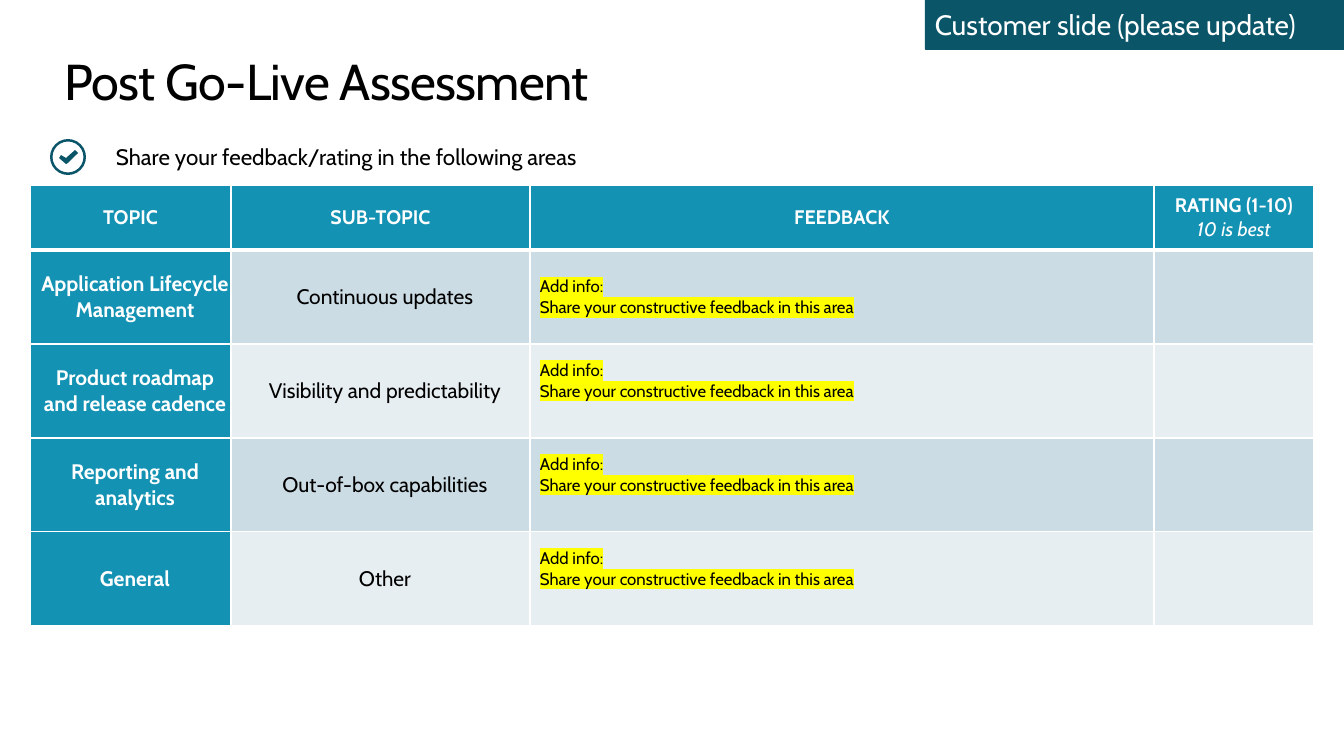
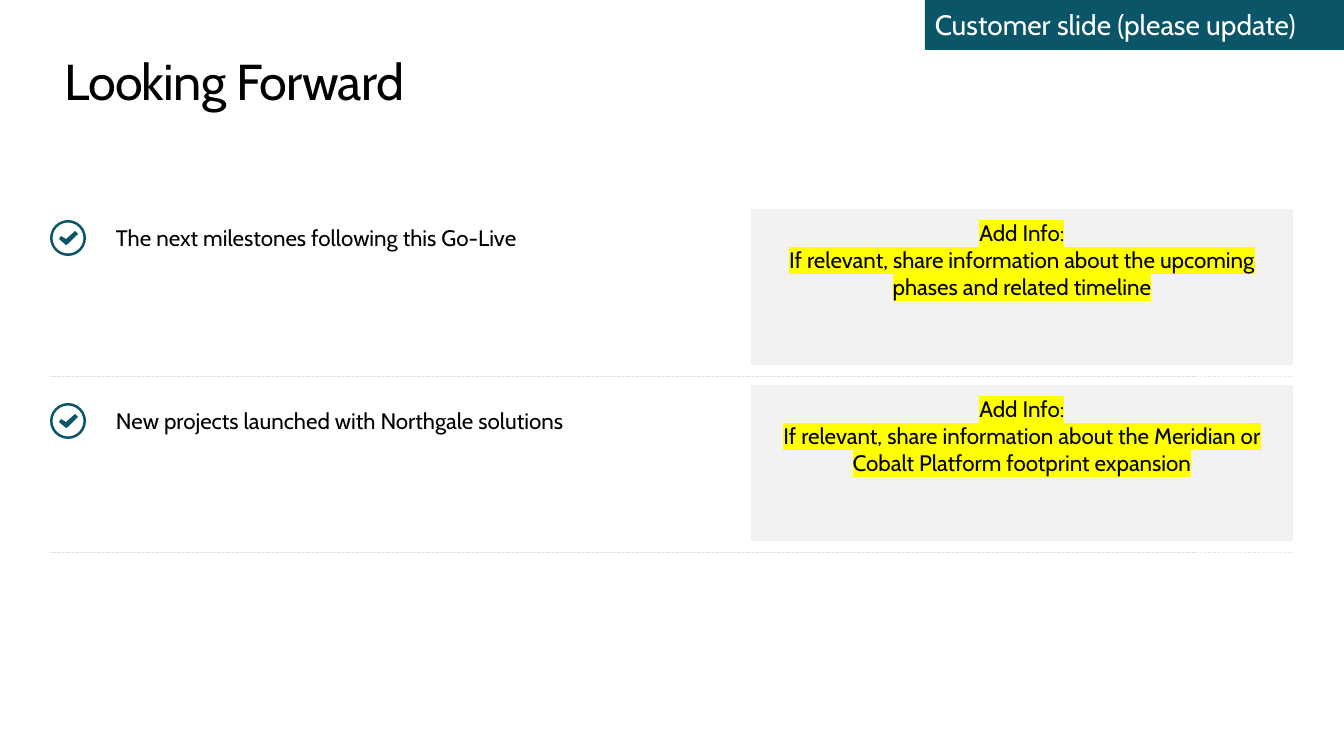
import pptx
import pptx.util
import pptx.dml.color
import pptx.enum.dml
import pptx.enum.shapes
import pptx.enum.text
import pptx.oxml
import pptx.oxml.ns
import lxml.etree

EMU_PER_PX = 914400 / 100.8
FONT = "Cabin"
COLORS = {
    "black": "000000",
    "white": "FFFFFF",
    "dark_teal": "0B5569",
    "teal": "1392B3",
    "band_dark": "CCDCE5",
    "band_light": "E7EEF2",
    "panel": "F2F2F2",
    "rule": "D9D9D9",
    "highlight": "FFFF00",
}
ALIGN = pptx.enum.text.PP_ALIGN
ANCHOR = pptx.enum.text.MSO_ANCHOR
SHAPE = pptx.enum.shapes.MSO_SHAPE

BANNER = "Customer slide (please update)"
FEEDBACK = ["Add info:", "Share your constructive feedback in this area"]
HEADERS = [["TOPIC"], ["SUB-TOPIC"], ["FEEDBACK"], ["RATING (1-10)", "10 is best"]]
TOPICS = [
    ("Application Lifecycle Management", "Continuous updates"),
    ("Product roadmap and release cadence", "Visibility and predictability"),
    ("Reporting and analytics", "Out-of-box capabilities"),
    ("General", "Other"),
]
# Panel top, check mark centre, item, hint
MILESTONES = [
    (209, 238, "The next milestones following this Go-Live",
     "If relevant, share information about the upcoming phases and related timeline"),
    (385, 421, "New projects launched with Northgale solutions",
     "If relevant, share information about the Meridian or Cobalt Platform footprint expansion"),
]


def px(n):
    return pptx.util.Emu(round(n * EMU_PER_PX))


def rgb(name):
    return pptx.dml.color.RGBColor.from_string(COLORS[name])


def add_color(parent, tag, name):
    """Append a colour-holding element such as a:highlight to parent."""
    el = lxml.etree.SubElement(parent, pptx.oxml.ns.qn(tag))
    lxml.etree.SubElement(el, pptx.oxml.ns.qn("a:srgbClr"), val=COLORS[name])


class Deck:
    def __init__(self):
        self.prs = pptx.Presentation()
        self.prs.slide_width, self.prs.slide_height = px(1344), px(756)
        self.slide = None

    def set_text(self, tf, lines, size, color="black", align=ALIGN.LEFT, bold=False,
                 highlight=False):
        for i, line in enumerate(lines):
            p = tf.add_paragraph() if i else tf.paragraphs[0]
            p.alignment = align
            p.font.name, p.font.size, p.font.bold = FONT, pptx.util.Pt(size), bold
            p.font.color.rgb = rgb(color)
            r = p.add_run()
            r.text = line
            if highlight:
                add_color(r._r.get_or_add_rPr(), "a:highlight", "highlight")

    def margins(self, frame, left, top, right, bottom):
        """Set the insets of a text frame or a table cell."""
        frame.margin_left, frame.margin_top = px(left), px(top)
        frame.margin_right, frame.margin_bottom = px(right), px(bottom)

    def paint(self, sp, fill):
        sp.shadow.inherit = False
        sp.fill.solid()
        sp.fill.fore_color.rgb = rgb(fill)
        sp.line.fill.background()

    def box(self, x, y, w, h, fill, anchor):
        sp = self.slide.shapes.add_shape(SHAPE.RECTANGLE, px(x), px(y), px(w), px(h))
        self.paint(sp, fill)
        sp.text_frame.word_wrap = True
        sp.text_frame.vertical_anchor = anchor
        return sp

    def new_slide(self, title):
        self.slide = self.prs.slides.add_slide(self.prs.slide_layouts[5])
        sp = self.slide.shapes.title
        sp.left, sp.top, sp.width, sp.height = px(64), px(50), px(1215), px(61)
        tf = sp.text_frame
        tf.auto_size = pptx.enum.text.MSO_AUTO_SIZE.NONE
        tf.vertical_anchor = ANCHOR.TOP
        self.margins(tf, 0, 0, 0, 0)
        self.set_text(tf, [title], 36)
        tf.paragraphs[0].runs[0]._r.get_or_add_rPr().set("spc", "-50")
        self.banner()

    def banner(self):
        sp = self.box(925, 0, 419, 49, "dark_teal", ANCHOR.MIDDLE)
        sp.line.color.rgb = rgb("dark_teal")
        sp.line.width = pptx.util.Pt(0.25)
        self.set_text(sp.text_frame, [BANNER], 20, "white")

    def check_item(self, text, center_y, width):
        """A line of text after a check mark in a ring."""
        sp = self.slide.shapes.add_textbox(px(55), px(center_y - 20), px(width), px(40))
        tf = sp.text_frame
        tf.word_wrap = True
        tf.vertical_anchor = ANCHOR.MIDDLE
        self.margins(tf, 61, 5, 10, 5)
        self.set_text(tf, [text], 16)

        icon = self.slide.shapes.add_group_shape()
        x, y = px(50), px(center_y - 18)
        ring = icon.shapes.add_shape(SHAPE.DONUT, x, y, px(36), px(36))
        ring.adjustments[0] = 0.07
        fb = icon.shapes.build_freeform(25, 11, scale=EMU_PER_PX)
        fb.add_line_segments([(16, 19), (11, 16), (9, 19), (16, 25), (18, 24), (28, 14)])
        for sp in (ring, fb.convert_to_shape(x, y)):
            self.paint(sp, "dark_teal")

    def hint_panel(self, y, hint):
        sp = self.box(751, y, 542, 156, "panel", ANCHOR.TOP)
        self.margins(sp.text_frame, 10, 10, 10, 5)
        self.set_text(sp.text_frame, ["Add Info:", hint], 16, align=ALIGN.CENTER,
                      highlight=True)

    def rule(self, y):
        ln = self.slide.shapes.add_connector(
            pptx.enum.shapes.MSO_CONNECTOR.STRAIGHT, px(50), px(y), px(1293), px(y))
        ln.line.color.rgb = rgb("rule")
        ln.line.width = pptx.util.Pt(0.25)
        ln.line.dash_style = pptx.enum.dml.MSO_LINE.DASH
        lxml.etree.SubElement(ln._element.spPr, pptx.oxml.ns.qn("a:effectLst"))

    def table(self, x, y, widths, heights):
        frame = self.slide.shapes.add_table(
            len(heights), len(widths), px(x), px(y), px(sum(widths)), px(sum(heights)))
        tbl = frame.table
        tbl.first_row = tbl.horz_banding = False
        for col, w in zip(tbl.columns, widths):
            col.width = px(w)
        for row, h in zip(tbl.rows, heights):
            row.height = px(h)
        return tbl

    def style_cell(self, cell, fill, top=1, bottom=1):
        """White borders (top and bottom in points), then the fill."""
        tcPr = cell._tc.get_or_add_tcPr()
        for side, width in (("L", 1), ("R", 1), ("T", top), ("B", bottom)):
            ln = lxml.etree.SubElement(tcPr, pptx.oxml.ns.qn("a:ln" + side),
                                       w=str(pptx.util.Pt(width)))
            add_color(ln, "a:solidFill", "white")
        cell.fill.solid()
        cell.fill.fore_color.rgb = rgb(fill)
        cell.vertical_anchor = ANCHOR.MIDDLE


def assessment_slide(deck):
    deck.new_slide("Post Go-Live Assessment")
    deck.check_item("Share your feedback/rating in the following areas", 157, 1238)
    tbl = deck.table(30, 185, [201, 299, 624, 160], [65] + [94] * len(TOPICS))

    for c, lines in enumerate(HEADERS):
        cell = tbl.cell(0, c)
        deck.style_cell(cell, "teal", bottom=3)
        deck.margins(cell, 0, 0, 0, 0)
        deck.set_text(cell.text_frame, lines, 14, "white", ALIGN.CENTER, bold=True)
    note = tbl.cell(0, 3).text_frame.paragraphs[1]
    note.font.bold, note.font.italic = False, True

    for r, (topic, subtopic) in enumerate(TOPICS, 1):
        band = "band_dark" if r % 2 else "band_light"
        cells = [tbl.cell(r, c) for c in range(4)]
        for cell, fill in zip(cells, ["teal", band, band, band]):
            deck.style_cell(cell, fill, top=3 if r == 1 else 1)
            deck.margins(cell, 10, 1, 1, 1)
        if r > 1:
            cells[2].margin_bottom = px(21)
        deck.set_text(cells[0].text_frame, [topic], 15, "white", ALIGN.CENTER, bold=True)
        deck.set_text(cells[1].text_frame, [subtopic], 15, align=ALIGN.CENTER)
        deck.set_text(cells[2].text_frame, FEEDBACK, 12, highlight=True)


def outlook_slide(deck):
    deck.new_slide("Looking Forward")
    for top, check_y, item, hint in MILESTONES:
        deck.check_item(item, check_y, 680)
        deck.hint_panel(top, hint)
        deck.rule(top + 167)


def main():
    deck = Deck()
    assessment_slide(deck)
    outlook_slide(deck)
    deck.prs.save("out.pptx")


if __name__ == "__main__":
    main()
